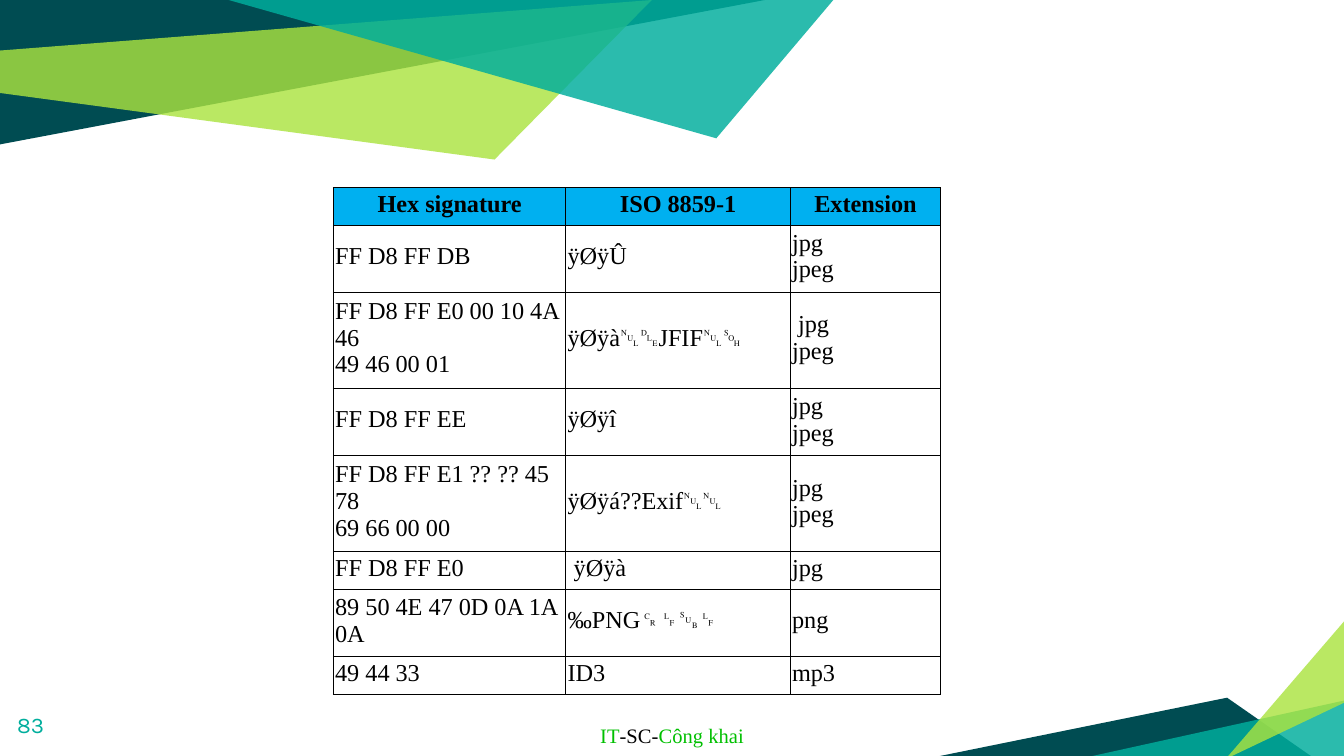
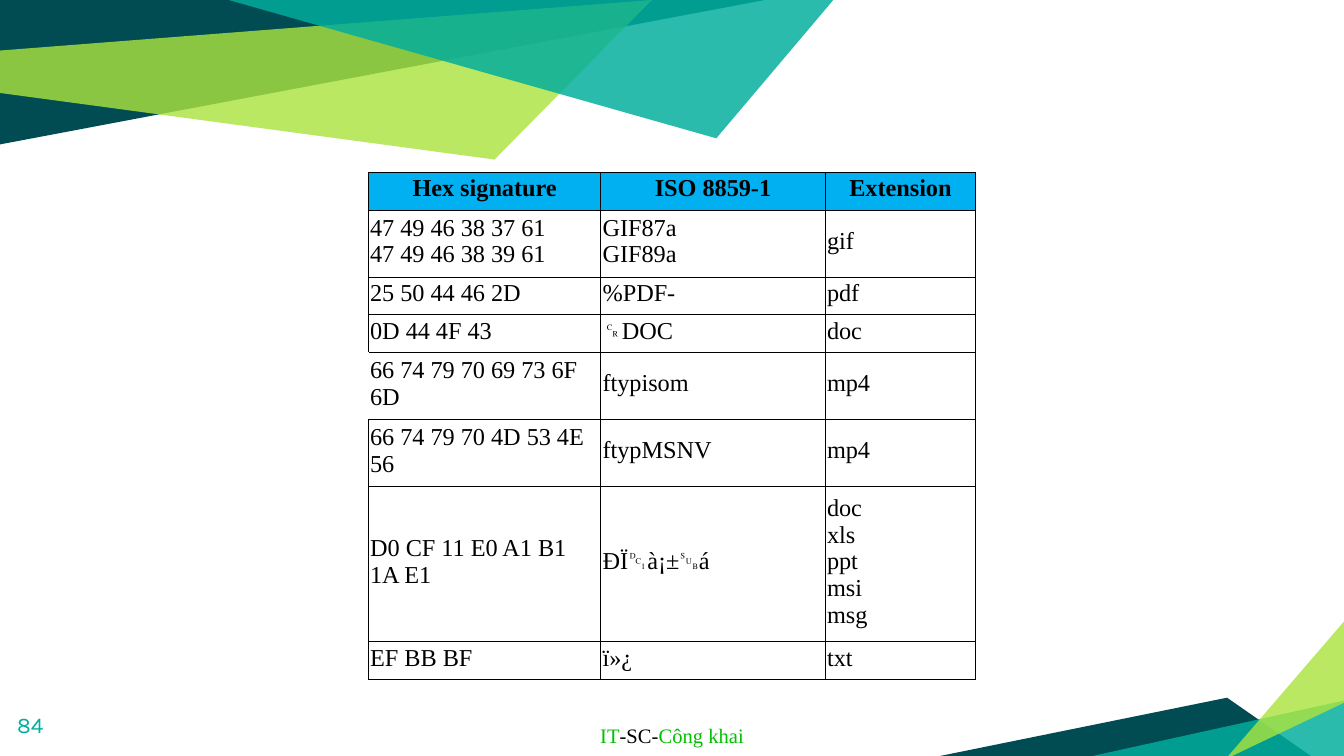
import pptx
import pptx.dml.color
import pptx.enum.text
import pptx.oxml
import pptx.oxml.ns
import pptx.util

WIDTH = pptx.util.Inches(10)
HEIGHT = WIDTH * 9 // 16
DARK, TEAL, LIME = "004C52", "00AE9D", "ABE33F"
BLACK, GREEN, BLUE = "000000", "00C000", "00B0F0"
SERIF, SANS = "Times New Roman", "Karla"
CENTER = pptx.enum.text.PP_ALIGN.CENTER
LEFT = pptx.enum.text.PP_ALIGN.LEFT

BANDS = [
    (DARK, 100, [(0, 0), (0, 19.1), (56.9, 0)]),
    (LIME, 81, [(-0.1, 6.7), (0, 12.3), (36.8, 21.1), (48.5, 0)]),
    (DARK, 100, [(69.7, 100.1), (97.6, 100.1), (91.3, 92.3)]),
    (TEAL, 83, [(100.2, 92.6), (100.2, 100.4), (80.3, 100.4)]),
    (LIME, 81, [(100.2, 92.8), (100.2, 81.8), (91.2, 100.4)]),
    (TEAL, 83, [(17, 0), (53.3, 18.3), (62.1, -0.2), (60.9, 0)]),
]
FOOTER = [("IT", GREEN), ("-SC-", BLACK), ("Công khai", GREEN)]
COLUMNS = [17.3, 16.7, 11.2]
HEADER = (1, "Hex signature", "ISO 8859-1", "Extension")
PHOTOS = [
    (2, "FF D8 FF DB", "ÿØÿÛ", "jpg\njpeg"),
    (3, "FF D8 FF E0 00 10 4A 46\n49 46 00 01", "ÿØÿà␀␐JFIF␀␁", " jpg\njpeg"),
    (2, "FF D8 FF EE", "ÿØÿî", "jpg\njpeg"),
    (3, "FF D8 FF E1 ?? ?? 45 78\n69 66 00 00", "ÿØÿá??Exif␀␀", "jpg\njpeg"),
    (1, "FF D8 FF E0", " ÿØÿà", "jpg"),
    (2, "89 50 4E 47 0D 0A 1A 0A", "‰PNG␍␊␚␊", "png"),
    (1, "49 44 33", "ID3", "mp3"),
]
FILES = [
    (2, "47 49 46 38 37 61\n47 49 46 38 39 61", "GIF87a\nGIF89a", "gif"),
    (1, "25 50 44 46 2D", "%PDF-", "pdf"),
    (1, "0D 44 4F 43", "␍DOC", "doc"),
    (2, "66 74 79 70 69 73 6F 6D", "ftypisom", "mp4"),
    (2, "66 74 79 70 4D 53 4E 56", "ftypMSNV", "mp4"),
    (5, "D0 CF 11 E0 A1 B1 1A E1", "ÐÏ␑à¡±␚á", "doc\nxls\nppt\nmsi\nmsg"),
    (1, "EF BB BF", "ï»¿", "txt"),
]
PAGES = [
    ("83", 24.8, 24.8, PHOTOS, None),
    ("84", 27.4, 22.8, FILES, (4, 0)),
]


def across(share):
    """Turn a percentage of the slide's width into a length."""
    return pptx.util.Emu(round(WIDTH * share / 100))


def down(share):
    """Turn a percentage of the slide's height into a length."""
    return pptx.util.Emu(round(HEIGHT * share / 100))


def paint(fill, color):
    """Make a fill solid in a hex colour."""
    fill.solid()
    fill.fore_color.rgb = pptx.dml.color.RGBColor.from_string(color)


def add_run(para, text, size, font, color, bold=False):
    """Add one styled run to a paragraph."""
    run = para.add_run()
    run.text = text
    run.font.size = pptx.util.Pt(size)
    run.font.name = font
    run.font.bold = bold
    paint(run.font.fill, color)


def add_band(slide, layout, color, strength, points):
    """Draw a coloured polygon and place it on the shared layout."""
    spots = [(across(x), down(y)) for x, y in points]
    builder = slide.shapes.build_freeform(*spots[0])
    builder.add_line_segments(spots[1:], close=True)
    shape = builder.convert_to_shape()
    shape.shadow.inherit = False
    shape.line.fill.background()
    paint(shape.fill, color)
    if strength < 100:
        tone = shape.element.spPr.find(".//" + pptx.oxml.ns.qn("a:srgbClr"))
        alpha = pptx.oxml.parse_xml(
            f'<a:alpha {pptx.oxml.ns.nsdecls("a")} val="{strength * 1000}"/>')
        tone.append(alpha)
    layout.shapes.element.append(shape.element)


def add_box(slide, left, top, width, height, parts, size, font, align):
    """Add a one-line text box made of coloured parts and return its frame."""
    box = slide.shapes.add_textbox(
        across(left), down(top), across(width), down(height))
    frame = box.text_frame
    frame.word_wrap = True
    para = frame.paragraphs[0]
    para.alignment = align
    for text, color in parts:
        add_run(para, text, size, font, color)
    return frame


def add_edges(cell, sides):
    """Give a cell thin black borders on the named sides."""
    props = cell._tc.get_or_add_tcPr()
    for place, side in enumerate(sides):
        edge = pptx.oxml.parse_xml(
            f'<a:ln{side} {pptx.oxml.ns.nsdecls("a")} w="6350"><a:solidFill>'
            f'<a:srgbClr val="{BLACK}"/></a:solidFill></a:ln{side}>')
        props.insert(place, edge)


def fill_cell(cell, text, head, sides):
    """Write and style one cell, a paragraph for each line of its text."""
    cell.margin_left = cell.margin_top = cell.margin_right = pptx.util.Pt(1)
    cell.margin_bottom = pptx.util.Inches(0.05)
    cell.vertical_anchor = pptx.enum.text.MSO_ANCHOR.MIDDLE
    if head:
        paint(cell.fill, BLUE)
    else:
        cell.fill.background()
    add_edges(cell, sides)
    frame = cell.text_frame
    for place, line in enumerate(text.split("\n")):
        para = frame.add_paragraph() if place else frame.paragraphs[0]
        para.alignment = CENTER if head else LEFT
        add_run(para, line, 13, SERIF, BLACK, head)


def add_grid(slide, left, top, rows, bare):
    """Add a table whose row heights follow their line counts."""
    heights = [1.05 + 3.9 * row[0] for row in rows]
    frame = slide.shapes.add_table(
        len(rows), len(COLUMNS), across(left), down(top),
        across(sum(COLUMNS)), down(sum(heights)))
    table = frame.table
    table.first_row = table.horz_banding = False
    for column, width in zip(table.columns, COLUMNS):
        column.width = across(width)
    for r, (row, height) in enumerate(zip(rows, heights)):
        table.rows[r].height = down(height)
        for c, text in enumerate(row[1:]):
            sides = "RTB" if (r, c) == bare else "LRTB"
            fill_cell(table.cell(r, c), text, r == 0, sides)


def add_page(slide, number, left, top, rows, bare):
    """Fill a slide with its number, table and footer."""
    frame = add_box(slide, 0.3, 92.3, 6, 7.7, [(number, TEAL)], 12, SANS, LEFT)
    frame.margin_top = frame.margin_bottom = pptx.util.Inches(0.1)
    add_grid(slide, left, top, [HEADER] + rows, bare)
    frame = add_box(slide, 1.4, 94.8, 97.2, 5.2, FOOTER, 11, SERIF, CENTER)
    frame.auto_size = pptx.enum.text.MSO_AUTO_SIZE.SHAPE_TO_FIT_TEXT


def main():
    """Build the deck and save it."""
    deck = pptx.Presentation()
    deck.slide_width, deck.slide_height = WIDTH, HEIGHT
    layout = deck.slide_layouts[6]
    for holder in list(layout.placeholders):
        layout.shapes.element.remove(holder.element)
    slides = [deck.slides.add_slide(layout) for page in PAGES]
    for band in BANDS:
        add_band(slides[0], layout, *band)
    for slide, page in zip(slides, PAGES):
        add_page(slide, *page)
    deck.save("out.pptx")


if __name__ == "__main__":
    main()
